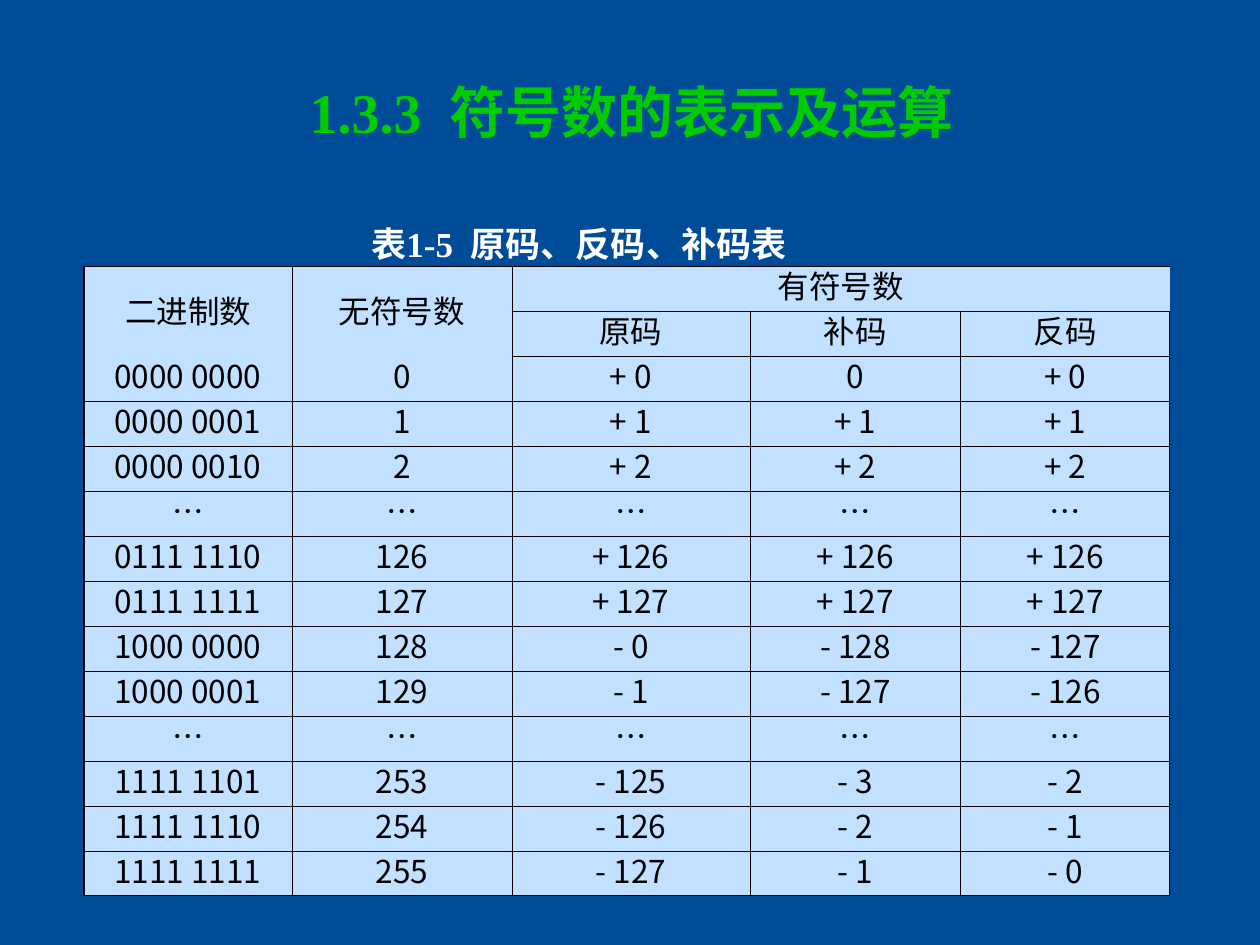
import lxml.etree
import pptx
import pptx.dml.color
import pptx.enum.lang
import pptx.enum.text
import pptx.oxml.ns
import pptx.util

RGB = pptx.dml.color.RGBColor
BLUE = RGB(0x00, 0x4C, 0x99)
GREEN = RGB(0x00, 0xCC, 0x00)
WHITE = RGB(0xFF, 0xFF, 0xFF)
BLACK = RGB(0x00, 0x00, 0x00)
PALE = RGB(0xC2, 0xE0, 0xFF)
RULE = RGB(0x08, 0x00, 0x00)
SERIF = "Times New Roman"
SANS = "Noto Sans CJK SC"
ALIGN = pptx.enum.text.PP_ALIGN
ANCHOR = pptx.enum.text.MSO_ANCHOR
CHINESE = pptx.enum.lang.MSO_LANGUAGE_ID.SIMPLIFIED_CHINESE
SCALE = 914400 / 126
qn = pptx.oxml.ns.qn


def px(num):
    return pptx.util.Emu(round(num * SCALE))


def write(para, text, color, form):
    """Add one run, with Chinese letters in the sans font."""
    run = para.add_run()
    run.text = text
    for key, val in form.items():
        setattr(run.font, key, val)
    run.font.language_id = CHINESE
    run.font.color.rgb = color
    east = lxml.etree.SubElement(run.font._element, qn("a:ea"))
    east.set("typeface", SANS)


deck = pptx.Presentation()
deck.slide_width, deck.slide_height = px(1260), px(945)
slide = deck.slides.add_slide(deck.slide_layouts[6])
slide.background.fill.solid()
slide.background.fill.fore_color.rgb = BLUE

# Title
title = slide.shapes.add_textbox(px(58), px(32), px(1148), px(158)).text_frame
title.word_wrap = True
title.vertical_anchor = ANCHOR.MIDDLE
para = title.paragraphs[0]
para.alignment = ALIGN.CENTER
form = {"name": SERIF, "size": pptx.util.Pt(32), "bold": True}
write(para, "1.3.3  符号数的表示及运算", GREEN, form)

# Table caption
label = slide.shapes.add_textbox(px(25), px(202), px(1155), px(712)).text_frame
label.word_wrap = True
para = label.paragraphs[0]
para.line_spacing = pptx.util.Pt(32)
para._p.get_or_add_pPr().set("marL", str(px(334)))
form = {"name": SERIF, "size": pptx.util.Pt(20), "bold": True}
write(para, "表1-5  原码、反码、补码表", WHITE, form)

# Code table
ROWS = [
    ("二进制数", "无符号数", "有符号数", "", ""),
    ("", "", "原码", "补码", "反码"),
    ("0000 0000", "0", "+ 0", "0", "+ 0"),
    ("0000 0001", "1", "+ 1", "+ 1", "+ 1"),
    ("0000 0010", "2", "+ 2", "+ 2", "+ 2"),
    ("…",) * 5,
    ("0111 1110", "126", "+ 126", "+ 126", "+ 126"),
    ("0111 1111", "127", "+ 127", "+ 127", "+ 127"),
    ("1000 0000", "128", "- 0", "- 128", "- 127"),
    ("1000 0001", "129", "- 1", "- 127", "- 126"),
    ("…",) * 5,
    ("1111 1101", "253", "- 125", "- 3", "- 2"),
    ("1111 1110", "254", "- 126", "- 2", "- 1"),
    ("1111 1111", "255", "- 127", "- 1", "- 0"),
]
WIDTHS = [208, 220, 238, 211, 209]
HIGH = 45
frame = slide.shapes.add_table(len(ROWS), len(WIDTHS), px(84), px(266),
                               px(sum(WIDTHS)), px(HIGH * len(ROWS)))
table = frame.table
table.first_row = table.horz_banding = False
for col, width in zip(table.columns, WIDTHS):
    col.width = px(width)
for row in table.rows:
    row.height = px(HIGH)
for top, left, end, right in [(0, 0, 1, 0), (0, 1, 1, 1), (0, 2, 0, 4)]:
    table.cell(top, left).merge(table.cell(end, right))

form = {"name": SANS, "size": pptx.util.Pt(18)}
edge = {"margin_left": 0, "margin_right": 0, "margin_top": 0, "margin_bottom": 0}
for r, texts in enumerate(ROWS):
    for c, text in enumerate(texts):
        cell = table.cell(r, c)
        for key, val in edge.items():
            setattr(cell, key, val)
        cell.vertical_anchor = ANCHOR.MIDDLE if r < 2 and c < 2 else ANCHOR.TOP
        if text:
            para = cell.text_frame.paragraphs[0]
            para.alignment = ALIGN.CENTER
            para.line_spacing = 0.9
            write(para, text, BLACK, form)

        # The two left heads run open into the first data row
        bare = {
            "L": r == 0 and c > 2,
            "R": r == 0 and c >= 2,
            "T": c < 2 and r in (1, 2),
            "B": c < 2 and r < 2,
        }
        props = cell._tc.get_or_add_tcPr()
        for side, empty in bare.items():
            outer = (side, c) in [("L", 0), ("R", 4)]
            line = lxml.etree.SubElement(props, qn("a:ln" + side))
            line.set("w", str(pptx.util.Pt(0.75 if outer else 0.5)))
            if empty:
                lxml.etree.SubElement(line, qn("a:noFill"))
            else:
                fill = lxml.etree.SubElement(line, qn("a:solidFill"))
                tone = lxml.etree.SubElement(fill, qn("a:srgbClr"))
                tone.set("val", str(BLACK if outer else RULE))
        cell.fill.solid()
        cell.fill.fore_color.rgb = PALE

deck.save("out.pptx")
